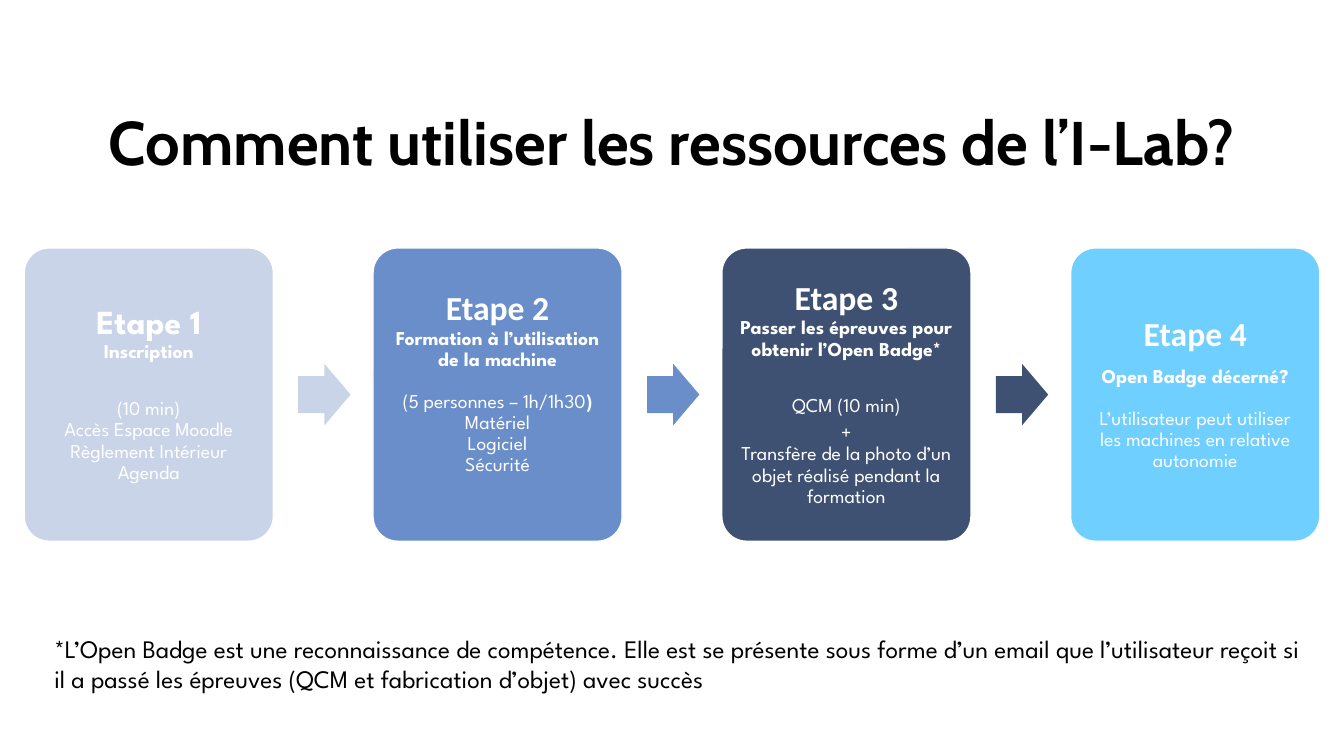
from dataclasses import dataclass

from pptx import Presentation
from pptx.dml.color import RGBColor
from pptx.enum.shapes import MSO_SHAPE
from pptx.enum.text import MSO_ANCHOR, PP_ALIGN
from pptx.util import Inches, Pt

CARD, ARROW = MSO_SHAPE.ROUNDED_RECTANGLE, MSO_SHAPE.RIGHT_ARROW
MIDDLE, TOP = MSO_ANCHOR.MIDDLE, MSO_ANCHOR.TOP
CENTER, LEFT = PP_ALIGN.CENTER, PP_ALIGN.LEFT


@dataclass(frozen=True)
class Theme:
    ink: str = "000000"
    paper: str = "FFFFFF"
    steps: tuple = ("CAD4E8", "6A8EC9", "3F5173", "6FCFFF")
    title_font: str = "Cabin"
    step_font: str = "Calibri"
    body_font: str = "League Spartan"
    title_size: int = 44
    step_size: int = 24
    note_size: int = 18
    body_size: int = 14


THEME = Theme()
WIDTH, HEIGHT = 13.33, 7.5
MARGIN = 0.1

STEPS = [
    {"heading": "Etape 1", "font": THEME.body_font, "topic": "Inscription", "topic_gap": 25.5,
     "details": ["(10 min)", "Accès Espace Moodle", "Règlement Intérieur", "Agenda"]},
    {"heading": "Etape 2", "topic": "Formation à l’utilisation de la machine",
     "topic_gap": 15, "bottom": 0.21,
     "details": [[("(5 personnes – 1h/1h30", False), (")", True)],
                 "Matériel", "Logiciel", "Sécurité"]},
    {"heading": "Etape 3", "topic": "Passer les épreuves pour obtenir l’Open Badge*",
     "topic_gap": 25, "detail_gap": 4.5,
     "details": ["QCM (10 min)", "+",
                 "Transfère de la photo d’un objet réalisé pendant la formation"]},
    {"heading": "Etape 4", "heading_gap": 9, "topic": "Open Badge décerné?", "topic_gap": 15,
     "details": ["L’utilisateur peut utiliser les machines en relative autonomie"]},
]


def write(frame, text, *, font, size, color, bold=False, align=LEFT, spacing=1.0, after=0):
    first = frame.paragraphs[0]
    paragraph = frame.add_paragraph() if first.runs else first
    paragraph.alignment = align
    paragraph.line_spacing = spacing
    paragraph.space_after = Pt(after)
    pieces = [(text, bold)] if isinstance(text, str) else text
    for words, strong in pieces:
        run = paragraph.add_run()
        run.text = words
        run.font.name = font
        run.font.size = Pt(size)
        run.font.bold = strong
        run.font.color.rgb = RGBColor.from_string(color)


def add_frame(slide, box, anchor, wrap=True):
    frame = slide.shapes.add_textbox(*map(Inches, box)).text_frame
    frame.word_wrap = wrap
    frame.vertical_anchor = anchor
    return frame


def add_block(slide, preset, box, color, adjustments):
    block = slide.shapes.add_shape(preset, *map(Inches, box))
    block.shadow.inherit = False
    block.fill.solid()
    block.fill.fore_color.rgb = RGBColor.from_string(color)
    block.line.fill.background()
    for index, value in enumerate(adjustments):
        block.adjustments[index] = value
    return block


def add_title(slide, box):
    write(add_frame(slide, box, MIDDLE), "Comment utiliser les ressources de l’I-Lab?",
          font=THEME.title_font, size=THEME.title_size, color=THEME.ink,
          bold=True, align=CENTER, spacing=0.9)


def add_step(slide, box, step, color):
    card = add_block(slide, CARD, box, color, [0.1])
    card.line.color.rgb = RGBColor.from_string(THEME.paper)
    card.line.width = Pt(1)
    frame = card.text_frame
    frame.word_wrap = True
    frame.vertical_anchor = MIDDLE
    frame.margin_left = frame.margin_right = frame.margin_top = Inches(MARGIN)
    frame.margin_bottom = Inches(MARGIN + step.get("bottom", 0))
    common = {"color": THEME.paper, "align": CENTER, "spacing": 0.9}
    write(frame, step["heading"], font=step.get("font", THEME.step_font),
          size=THEME.step_size, bold=True, after=step.get("heading_gap", 0), **common)
    body = {"font": THEME.body_font, "size": THEME.body_size, **common}
    write(frame, step["topic"], bold=True, after=step["topic_gap"], **body)
    for index, detail in enumerate(step["details"]):
        gap = step.get("detail_gap", 0) if index == 0 else 0
        write(frame, detail, after=gap, **body)


def add_process(slide, box):
    left, top, width, height = box
    card_width = width / (1 + 1.4 * (len(STEPS) - 1))
    arrow_width, arrow_height = 0.21 * card_width, 0.21 * height
    for index, (step, color) in enumerate(zip(STEPS, THEME.steps)):
        card_left = left + index * 1.4 * card_width
        add_step(slide, (card_left, top, card_width, height), step, color)
        if index < len(STEPS) - 1:
            arrow_box = (card_left + 1.1 * card_width, top + (height - arrow_height) / 2,
                         arrow_width, arrow_height)
            add_block(slide, ARROW, arrow_box, color, [0.6, 0.5])


def add_footnote(slide, box):
    frame = add_frame(slide, box, TOP, wrap=False)
    for line in ("*L’Open Badge est une reconnaissance de compétence. Elle est se présente "
                 "sous forme d’un email que l’utilisateur reçoit si",
                 "il a passé les épreuves (QCM et fabrication d’objet) avec succès"):
        write(frame, line, font=THEME.body_font, size=THEME.note_size, color=THEME.ink)


def main():
    deck = Presentation()
    deck.slide_width, deck.slide_height = Inches(WIDTH), Inches(HEIGHT)
    slide = deck.slides.add_slide(deck.slide_layouts[6])
    add_process(slide, (0.24, 2.46, 12.85, 2.91))
    add_footnote(slide, (0.44, 6.23, 12.83, 0.71))
    add_title(slide, (0.92, 0.72, 11.5, 1.45))
    deck.save("out.pptx")


if __name__ == "__main__":
    main()
